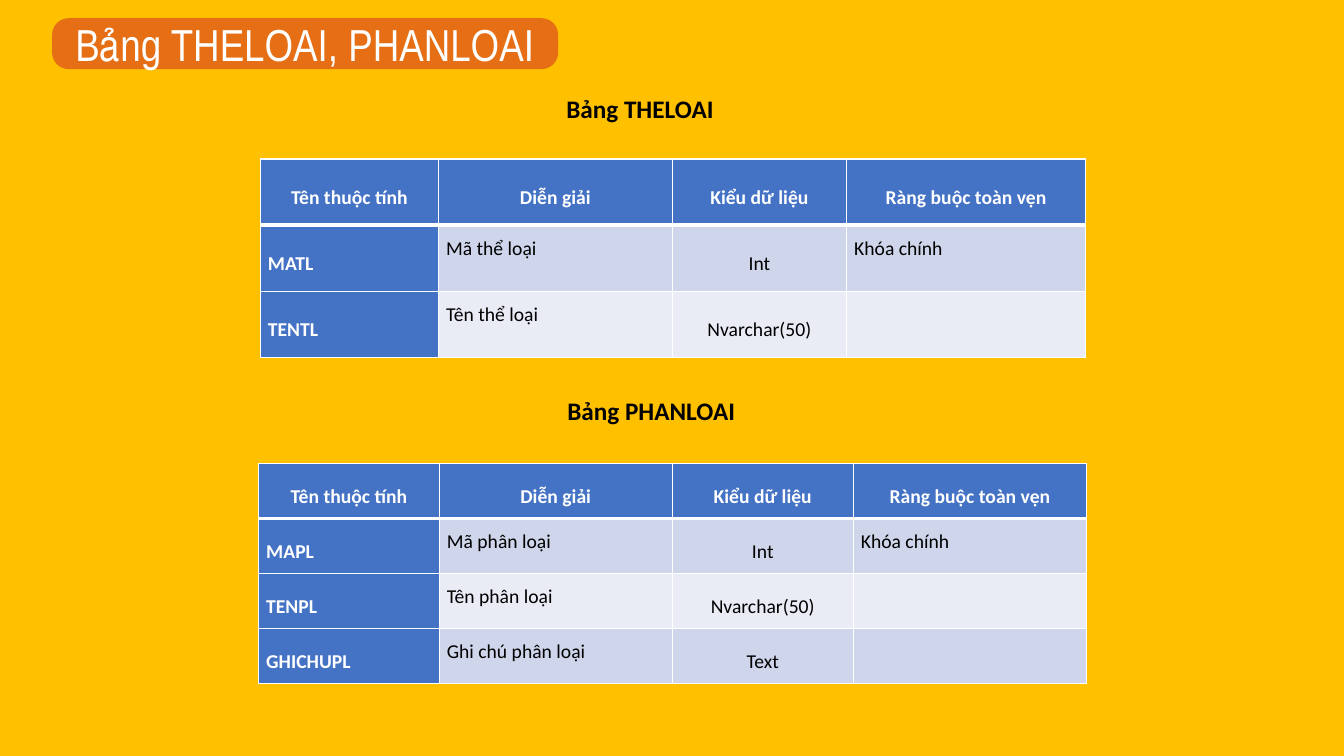
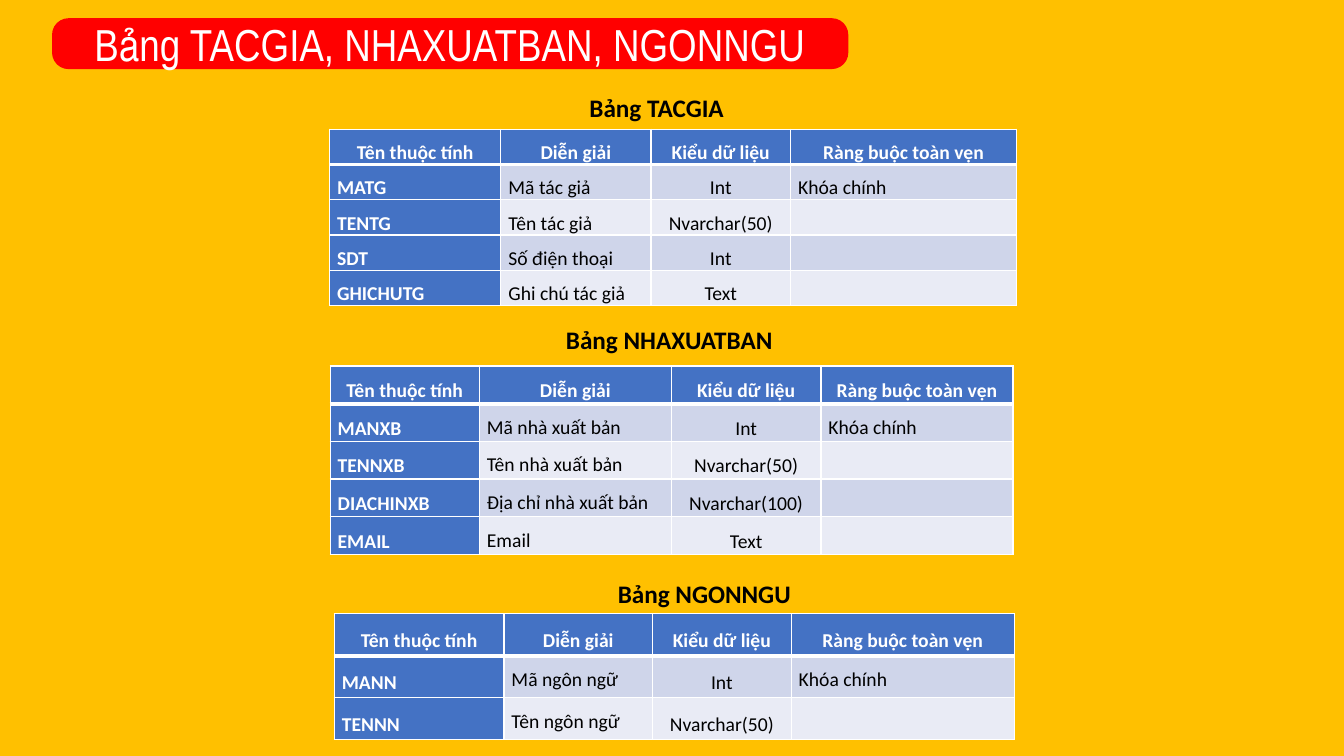
"""Build two slides that describe the database tables of a library."""
from lxml.etree import SubElement
from pptx import Presentation
from pptx.dml.color import RGBColor
from pptx.enum.shapes import MSO_SHAPE
from pptx.enum.text import MSO_ANCHOR, MSO_AUTO_SIZE, PP_ALIGN
from pptx.oxml.ns import qn
from pptx.util import Pt

GOLD = RGBColor(0xFF, 0xC0, 0x00)
ORANGE = RGBColor(0xE6, 0x6E, 0x14)
RED = RGBColor(0xFF, 0x00, 0x00)
BLUE = RGBColor(0x44, 0x72, 0xC4)
BANDS = [RGBColor(0xCF, 0xD5, 0xEA), RGBColor(0xE9, 0xEB, 0xF5)]
WHITE = RGBColor(0xFF, 0xFF, 0xFF)
BLACK = RGBColor(0x00, 0x00, 0x00)

HEAD = ("Tên thuộc tính", "Diễn giải", "Kiểu dữ liệu", "Ràng buộc toàn vẹn")
KEY = "Khóa chính"

SLIDES = [
    ("Bảng THELOAI, PHANLOAI", ORANGE, 361.5, [
        ("Bảng THELOAI", (397.5, 63.4), (186, 113.6), (127.2, 167, 124.6, 170.6), 47.2, [
            ("MATL", "Mã thể loại", "Int", KEY),
            ("TENTL", "Tên thể loại", "Nvarchar(50)", "")]),
        ("Bảng PHANLOAI", (398.2, 278.6), (184.8, 331), (129, 166.4, 129.4, 166.6), 39.3, [
            ("MAPL", "Mã phân loại", "Int", KEY),
            ("TENPL", "Tên phân loại", "Nvarchar(50)", ""),
            ("GHICHUPL", "Ghi chú phân loại", "Text", "")])]),
    ("Bảng TACGIA, NHAXUATBAN, NGONNGU", RED, 568.8, [
        ("Bảng TACGIA", (414, 62.4), (235.4, 92.2), (122.4, 107.2, 99.8, 161.4), 25, [
            ("MATG", "Mã tác giả", "Int", KEY),
            ("TENTG", "Tên tác giả", "Nvarchar(50)", ""),
            ("SDT", "Số điện thoại", "Int", ""),
            ("GHICHUTG", "Ghi chú tác giả", "Text", "")]),
        ("Bảng NHAXUATBAN", (397.2, 228), (235.8, 261.5), (106.6, 137.2, 106.8, 137.2), 26.9, [
            ("MANXB", "Mã nhà xuất bản", "Int", KEY),
            ("TENNXB", "Tên nhà xuất bản", "Nvarchar(50)", ""),
            ("DIACHINXB", "Địa chỉ nhà xuất bản", "Nvarchar(100)", ""),
            ("EMAIL", "Email", "Text", "")]),
        ("Bảng NGONNGU", (434.2, 409.3), (238.8, 438.4), (121.2, 106.2, 99, 159.4), 30, [
            ("MANN", "Mã ngôn ngữ", "Int", KEY),
            ("TENNN", "Tên ngôn ngữ", "Nvarchar(50)", "")])]),
]


def write(frame, text, size, color, bold=False, face="Calibri"):
    """Put one styled paragraph in a text frame and return it."""
    frame.text = text
    para = frame.paragraphs[0]
    for run in para.runs:
        run.font.name, run.font.size, run.font.bold = face, Pt(size), bold
        run.font.color.rgb = color
    return para


def style(cell, text, row, col):
    """Write a table cell and give it the borders and fill of its place."""
    dark = row == 0 or col == 0
    center = row == 0 or col == 2
    cell.margin_left = cell.margin_right = Pt(5.4)
    cell.margin_top = cell.margin_bottom = 0
    cell.vertical_anchor = MSO_ANCHOR.MIDDLE if dark or center else MSO_ANCHOR.TOP
    para = write(cell.text_frame, text, 14, WHITE if dark else BLACK, dark)
    para.alignment = PP_ALIGN.CENTER if center else PP_ALIGN.JUSTIFY
    if text:
        para.line_spacing = 1.5
    wide = {0: "lnB", 1: "lnT"}.get(row)
    for side in ("lnL", "lnR", "lnT", "lnB"):
        width = Pt(3 if side == wide else 1)
        line = SubElement(cell._tc.get_or_add_tcPr(), qn("a:" + side), w=str(width))
        SubElement(SubElement(line, qn("a:solidFill")), qn("a:srgbClr"), val=str(WHITE))
    cell.fill.solid()
    cell.fill.fore_color.rgb = BLUE if dark else BANDS[(row - 1) % 2]


prs = Presentation()
prs.slide_width, prs.slide_height = Pt(960), Pt(540)
ground = prs.slide_master.background.fill
ground.solid()
ground.fore_color.rgb = GOLD

for title, color, width, tables in SLIDES:
    slide = prs.slides.add_slide(prs.slide_layouts[6])
    band = slide.shapes.add_shape(
        MSO_SHAPE.ROUNDED_RECTANGLE, Pt(37.2), Pt(13), Pt(width), Pt(36.4))
    band.adjustments[0] = 0.325
    band.shadow.inherit = False
    band.fill.solid()
    band.fill.fore_color.rgb = color
    band.line.fill.background()
    band.text_frame.vertical_anchor = MSO_ANCHOR.MIDDLE
    write(band.text_frame, title, 32, WHITE, face="Arial Narrow").alignment = PP_ALIGN.CENTER

    for name, spot, place, widths, height, body in tables:
        label = slide.shapes.add_textbox(*map(Pt, spot), Pt(175), Pt(29))
        label.text_frame.word_wrap = True
        label.text_frame.auto_size = MSO_AUTO_SIZE.SHAPE_TO_FIT_TEXT
        write(label.text_frame, name, 18, BLACK, True)

        rows = [HEAD] + body
        grid = slide.shapes.add_table(
            len(rows), len(HEAD), *map(Pt, place), Pt(sum(widths)), Pt(height * len(rows))).table
        grid.horz_banding = False
        for column, size in zip(grid.columns, widths):
            column.width = Pt(size)
        for r, texts in enumerate(rows):
            grid.rows[r].height = Pt(height)
            for c, text in enumerate(texts):
                style(grid.cell(r, c), text, r, c)

prs.save("out.pptx")
